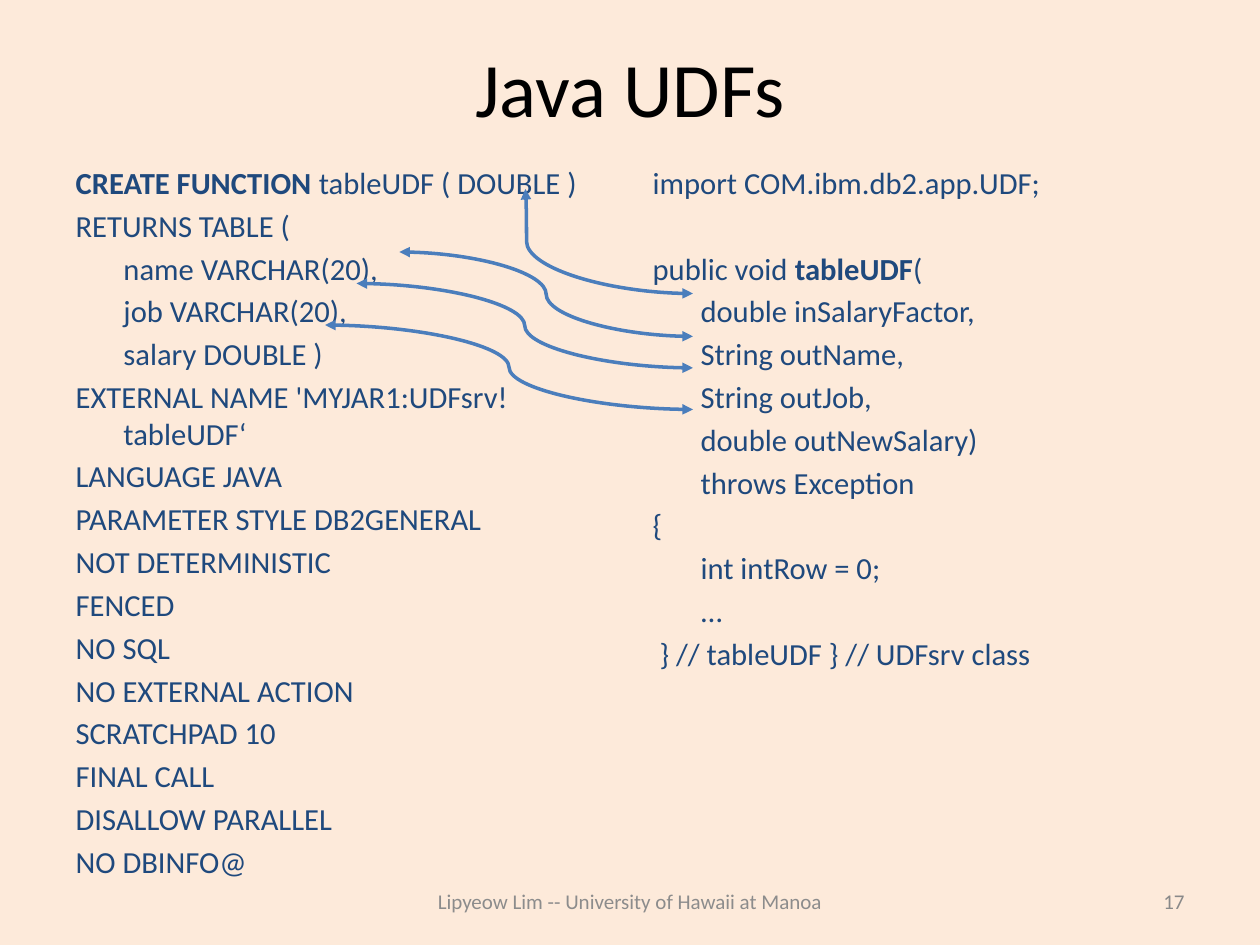
"""Build a slide that maps SQL function parameters to Java arguments."""
from pptx import Presentation
from pptx import util as u
from pptx.dml import color
from pptx.enum import shapes, text
from pptx.oxml import ns, xmlchemy as xc

HEX = {"back": "FDEADA", "title": "000000", "code": "1F497D",
       "foot": "8C8C8C", "page": "898989", "arrow": "4B7EBC"}
SQL = ["**CREATE FUNCTION **tableUDF ( DOUBLE )", "RETURNS TABLE (",
       "\tname VARCHAR(20),", "\tjob VARCHAR(20),", "\tsalary DOUBLE )",
       "EXTERNAL NAME 'MYJAR1:UDFsrv!tableUDF‘", "LANGUAGE JAVA",
       "PARAMETER STYLE DB2GENERAL", "NOT DETERMINISTIC", "FENCED",
       "NO SQL", "NO EXTERNAL ACTION", "SCRATCHPAD 10", "FINAL CALL",
       "DISALLOW PARALLEL", "NO DBINFO@"]
JAVA = ["import COM.ibm.db2.app.UDF;", "public void **tableUDF**(",
        "\tdouble inSalaryFactor,", "\tString outName,", "\tString outJob,",
        "\tdouble outNewSalary)", "\tthrows Exception", "{",
        "\tint intRow = 0;", "       …", " } // tableUDF } // UDFsrv class"]
LINKS = [(4.17, 1.5, 2.33, 0.007), (3.17, 2, 2.67, 0.5),
         (2.83, 2.25, 2.92, 0.5), (2.58, 2.58, 3.25, 0.5)]
GAP, BREAK = 3.5, 28


def rgb(key):
    """Return the named colour."""
    return color.RGBColor.from_string(HEX[key])


def apply(obj, form):
    """Set every attribute in a dict of format values."""
    for key, val in form.items():
        setattr(obj, key, val)


def style(font, size, key):
    """Give a font its face, size and colour."""
    apply(font, {"name": "Calibri", "size": u.Pt(size)})
    font.color.rgb = rgb(key)


def place(shape, left, top, width, height):
    """Move and size a shape in inches."""
    apply(shape, {"left": u.Inches(left), "top": u.Inches(top),
                  "width": u.Inches(width), "height": u.Inches(height)})


def label(shape, box, words, size, key, align):
    """Fill a shape with one middle-anchored line."""
    place(shape, *box)
    frame = shape.text_frame
    apply(frame, {"text": words, "word_wrap": True,
                  "auto_size": text.MSO_AUTO_SIZE.NONE,
                  "vertical_anchor": text.MSO_ANCHOR.MIDDLE})
    para = frame.paragraphs[0]
    para.alignment = align
    style(para.runs[0].font, size, key)


def code(shape, left, lines, gaps):
    """Fill a body placeholder with code; gaps maps a line to its space before."""
    place(shape, left, 1.25, 4.42, 5.45)
    frame = shape.text_frame
    apply(frame, {"word_wrap": True, "auto_size": text.MSO_AUTO_SIZE.NONE})
    for num, line in enumerate(lines):
        para = frame.add_paragraph() if num else frame.paragraphs[0]
        props = para._p.get_or_add_pPr()
        props.set("marL", str(u.Inches(0.38)))
        props.set("indent", str(u.Inches(-0.38)))
        para.space_before = u.Pt(gaps.get(num, GAP))
        props.append(xc.OxmlElement("a:buNone"))
        for part, words in enumerate(line.split("**")):
            if words:
                run = para.add_run()
                run.text = words
                style(run.font, 17.5, "code")
                run.font.bold = part % 2 == 1


def link(slide, left, top, low, bend):
    """Draw a curved double arrow to the Java argument column."""
    ends = [u.Inches(val) for val in (left, top, 5.5, low)]
    curve = slide.shapes.add_connector(shapes.MSO_CONNECTOR.CURVE, *ends)
    curve.line.width = u.Pt(2)
    curve.line.color.rgb = rgb("arrow")
    props = curve._element.spPr
    guide = xc.OxmlElement("a:gd")
    guide.set("name", "adj1")
    guide.set("fmla", f"val {round(bend * 100000)}")
    props.find(ns.qn("a:prstGeom")).get_or_add_avLst().append(guide)
    for tag in ("a:headEnd", "a:tailEnd"):
        tip = xc.OxmlElement(tag)
        tip.set("type", "triangle")
        props.find(ns.qn("a:ln")).append(tip)
    props.append(xc.OxmlElement("a:effectLst"))


def main():
    """Build and save the slide."""
    deck = Presentation()
    apply(deck, {"slide_width": u.Inches(10), "slide_height": u.Inches(7.5)})
    slide = deck.slides.add_slide(deck.slide_layouts[3])
    fill = slide.background.fill
    fill.solid()
    fill.fore_color.rgb = rgb("back")
    title, left, right = slide.placeholders
    mid, end = text.PP_ALIGN.CENTER, text.PP_ALIGN.RIGHT
    label(title, (0.5, 0.3, 9, 0.78), "Java UDFs", 44, "title", mid)
    code(left, 0.5, SQL, {0: 0})
    code(right, 5.08, JAVA, {0: 0, 1: BREAK})
    for box, words, key, align in [
            ((3, 6.95, 4, 0.4), "Lipyeow Lim -- University of Hawaii at Manoa", "foot", mid),
            ((7.17, 6.95, 2.33, 0.4), "17", "page", end)]:
        label(slide.shapes.add_textbox(0, 0, 0, 0), box, words, 12, key, align)
    for spot in LINKS:
        link(slide, *spot)
    deck.save("out.pptx")


if __name__ == "__main__":
    main()
